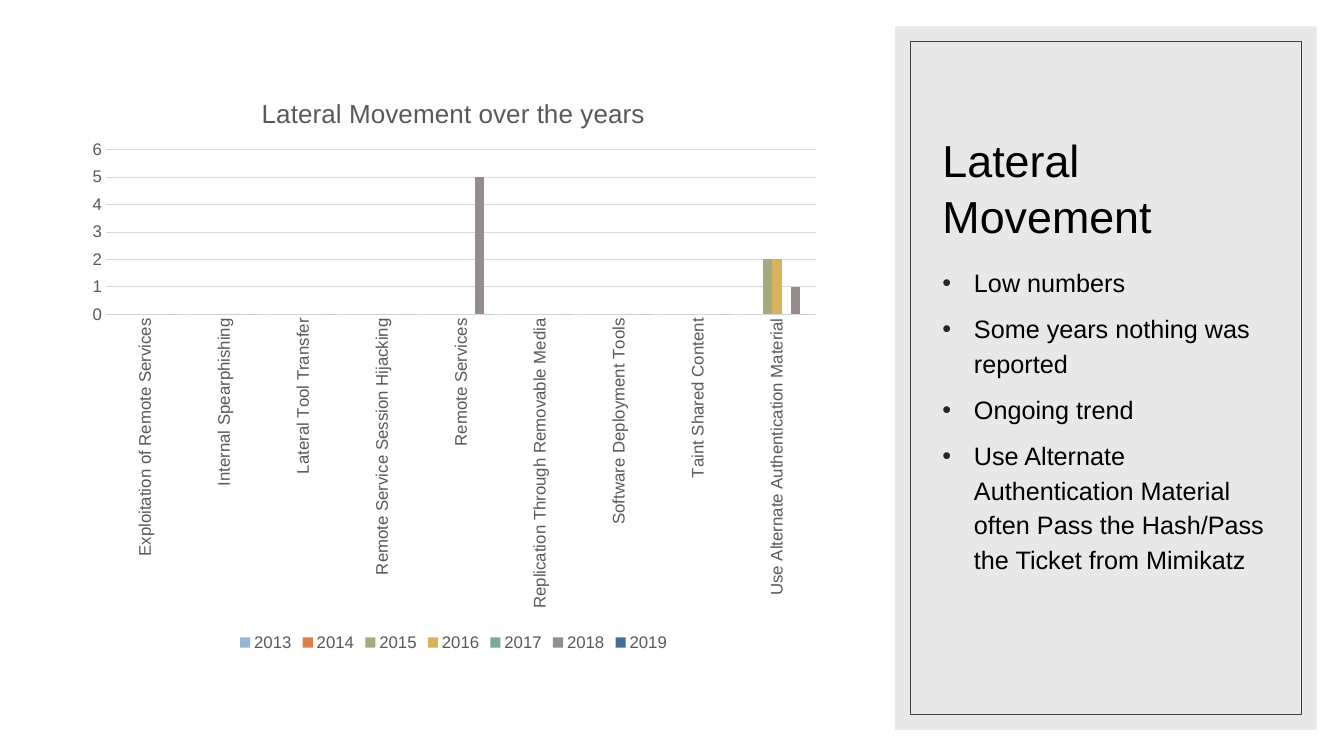
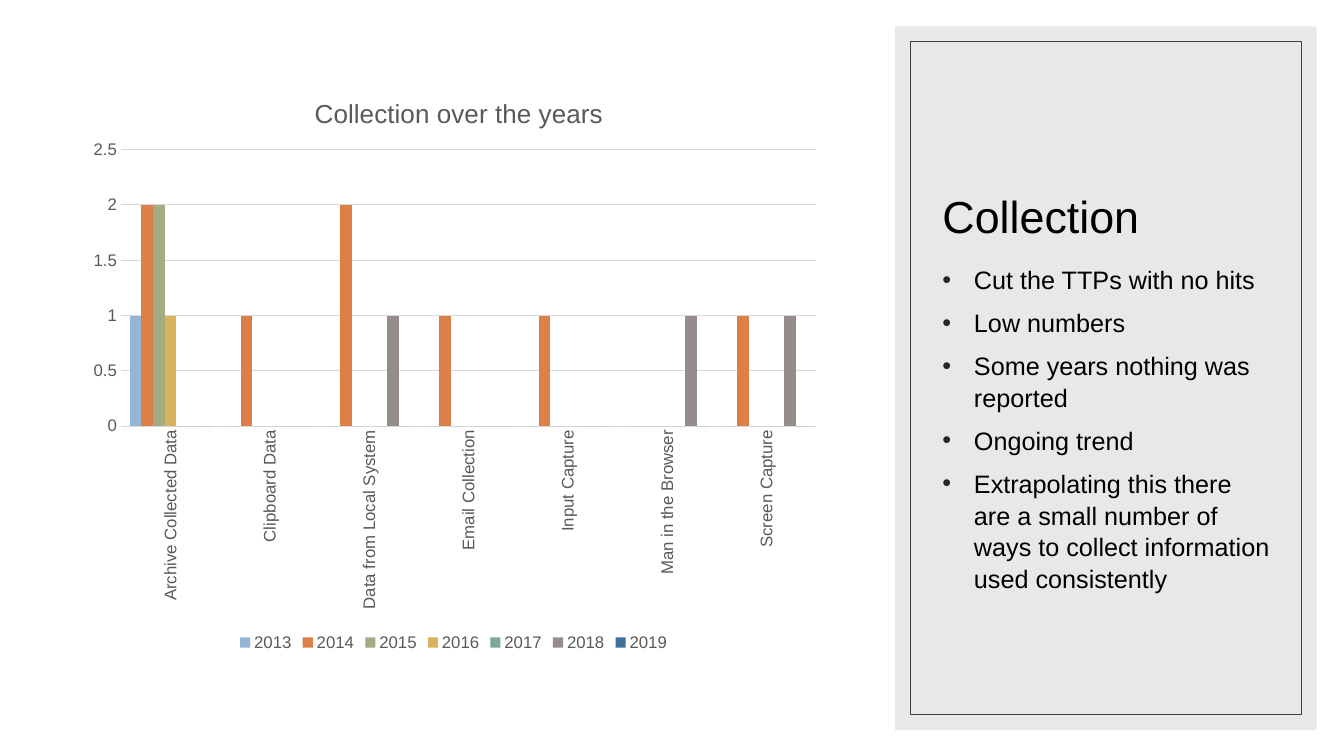
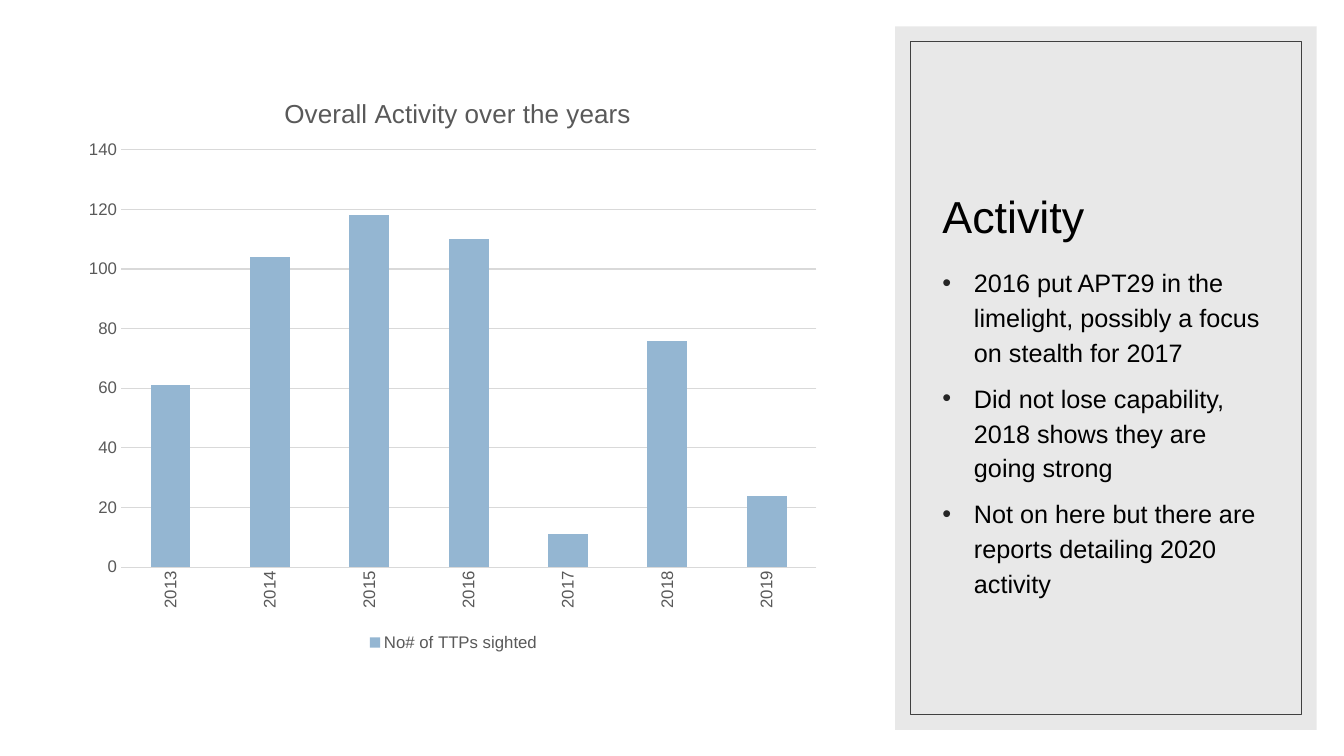
from lxml import etree
from pptx import Presentation
from pptx.chart.data import CategoryChartData
from pptx.dml.color import RGBColor
from pptx.enum.chart import XL_CHART_TYPE as ChartType
from pptx.enum.chart import XL_LEGEND_POSITION as LegendPosition
from pptx.enum.chart import XL_TICK_MARK as TickMark
from pptx.enum.shapes import MSO_SHAPE as Preset
from pptx.enum.text import MSO_ANCHOR as Anchor
from pptx.enum.text import MSO_AUTO_SIZE as AutoSize
from pptx.enum.text import PP_ALIGN as Align
from pptx.oxml.ns import qn
from pptx.util import Pt

# Shared look
FONT = "Arial"
BLACK, GREY, GRID, BULLET = "000000", "595959", "D9D9D9", "262626"
PANEL_FILL, FRAME_LINE = "D9D9D9", "404040"
SERIES_COLOURS = ["94B6D2", "DD8047", "A5AB81", "D8B25C", "7BA79D", "968C8C", "407097"]
YEARS = [str(year) for year in range(2013, 2020)]

# Boxes as left, top, width, height in points
PANEL = (639.4, 18.8, 301, 502.6)
CHART = (54, 48.2, 540, 420)
FRAME_INSET, TEXT_INSET = 10.8, 26.6
HEADING_TOP, HEADING_HEIGHT = 28.7, 129.6
POINTS_TOP, POINTS_HEIGHT = 165.5, 283.7

# Slide content; plot is the inner plot area as fractions of the chart
SLIDES = [
    {
        "heading": "Lateral Movement",
        "points": [
            "Low numbers",
            "Some years nothing was reported",
            "Ongoing trend",
            "Use Alternate Authentication Material often Pass the Hash/Pass "
            "the Ticket from Mimikatz",
        ],
        "spacing": 1.15,
        "chart_title": "Lateral Movement over the years",
        "title_left": 0.24,
        "plot": (0.04, 0.14, 0.94, 0.28),
        "categories": [
            "Exploitation of Remote Services", "Internal Spearphishing",
            "Lateral Tool Transfer", "Remote Service Session Hijacking",
            "Remote Services", "Replication Through Removable Media",
            "Software Deployment Tools", "Taint Shared Content",
            "Use Alternate Authentication Material",
        ],
        "series": {
            **{year: [0] * 9 for year in YEARS},
            "2015": [0] * 8 + [2],
            "2016": [0] * 8 + [2],
            "2018": [0, 0, 0, 0, 5, 0, 0, 0, 1],
        },
    },
    {
        "heading": "Collection",
        "points": [
            "Cut the TTPs with no hits",
            "Low numbers",
            "Some years nothing was reported",
            "Ongoing trend",
            "Extrapolating this there are a small number of ways to collect "
            "information used consistently",
        ],
        "spacing": 1.05,
        "chart_title": "Collection over the years",
        "title_left": 0.31,
        "plot": (0.06, 0.14, 0.92, 0.47),
        "categories": [
            "Archive Collected Data", "Clipboard Data", "Data from Local System",
            "Email Collection", "Input Capture", "Man in the Browser", "Screen Capture",
        ],
        "series": {
            **{year: [0] * 7 for year in YEARS},
            "2013": [1] + [0] * 6,
            "2014": [2, 1, 2, 1, 1, 0, 1],
            "2015": [2] + [0] * 6,
            "2016": [1] + [0] * 6,
            "2018": [0, 0, 1, 0, 0, 1, 1],
        },
    },
    {
        "heading": "Activity",
        "points": [
            "2016 put APT29 in the limelight, possibly a focus on stealth for 2017",
            "Did not lose capability, 2018 shows they are going strong",
            "Not on here but there are reports detailing 2020 activity",
        ],
        "spacing": 1.15,
        "chart_title": "Overall Activity over the years",
        "title_left": 0.27,
        "plot": (0.06, 0.14, 0.92, 0.71),
        "categories": YEARS,
        "series": {"No# of TTPs sighted": [61, 104, 118, 110, 11, 76, 24]},
    },
]


def rgb(value):
    return RGBColor.from_string(value)


def style_font(font, size, colour):
    for key, value in {"name": FONT, "size": Pt(size), "bold": False}.items():
        setattr(font, key, value)
    font.color.rgb = rgb(colour)


def place(shape, box):
    for side, value in zip(("left", "top", "width", "height"), box):
        setattr(shape, side, Pt(value))


def add_rectangle(slide, box):
    rectangle = slide.shapes.add_shape(Preset.RECTANGLE, *map(Pt, box))
    rectangle.shadow.inherit = False
    return rectangle


def set_up_layout(layout, slide, box):
    """Moves the panel into the layout and places its title and body there."""
    left, top, width, height = box
    for placeholder in list(layout.placeholders):
        if placeholder.placeholder_format.idx > 1:
            placeholder.element.getparent().remove(placeholder.element)

    # Translucent panel
    panel = add_rectangle(slide, box)
    panel.fill.solid()
    panel.fill.fore_color.rgb = rgb(PANEL_FILL)
    panel.line.fill.background()
    panel_colour = panel.element.spPr.find(qn("a:solidFill"))[0]
    etree.SubElement(panel_colour, qn("a:alpha"), val="60000")

    # Thin frame inside it
    frame = add_rectangle(slide, (left + FRAME_INSET, top + FRAME_INSET,
                                  width - 2 * FRAME_INSET, height - 2 * FRAME_INSET))
    frame.fill.background()
    frame.line.color.rgb = rgb(FRAME_LINE)
    frame.line.width = Pt(0.5)
    for index, part in enumerate((panel, frame), start=2):
        layout.shapes.element.insert(index, part.element)

    # Title and body places
    heading, points = layout.placeholders
    text_left, text_width = left + TEXT_INSET, width - 2 * TEXT_INSET + 1.2
    place(heading, (text_left, top + HEADING_TOP, text_width, HEADING_HEIGHT))
    place(points, (text_left, top + POINTS_TOP, text_width, POINTS_HEIGHT))
    for placeholder, anchor in ((heading, Anchor.BOTTOM), (points, Anchor.TOP)):
        placeholder.text_frame.vertical_anchor = anchor
        placeholder.text_frame.auto_size = AutoSize.NONE


def add_bullet(paragraph):
    properties = paragraph._p.get_or_add_pPr()
    properties.set("marL", str(Pt(22.5)))
    properties.set("indent", str(-Pt(22.5)))
    colour = etree.SubElement(properties, qn("a:buClr"))
    etree.SubElement(colour, qn("a:srgbClr"), val=BULLET)
    etree.SubElement(properties, qn("a:buFont"), typeface=FONT)
    etree.SubElement(properties, qn("a:buChar"), char="•")


def fill_panel(slide, content):
    heading, points = slide.placeholders
    heading.text_frame.text = content["heading"]
    heading_line = heading.text_frame.paragraphs[0]
    heading_line.alignment = Align.LEFT
    heading_line.line_spacing = 1.05
    style_font(heading_line.runs[0].font, 32, BLACK)

    points.text_frame.text = "\n".join(content["points"])
    for index, point in enumerate(points.text_frame.paragraphs):
        add_bullet(point)
        point.line_spacing = content["spacing"]
        point.space_before = Pt(8 if index else 0)
        style_font(point.runs[0].font, 18, BLACK)


def set_layout(parent, position, fractions, inner=False):
    """Gives a chart part a fixed place, as fractions of the chart."""
    for old in parent.findall(qn("c:layout")):
        parent.remove(old)
    layout = etree.Element(qn("c:layout"))
    manual = etree.SubElement(layout, qn("c:manualLayout"))
    if inner:
        etree.SubElement(manual, qn("c:layoutTarget"), val="inner")
    for axis in "xy":
        etree.SubElement(manual, qn(f"c:{axis}Mode"), val="edge")
    for key, value in zip("xywh", fractions):
        etree.SubElement(manual, qn(f"c:{key}"), val=str(value))
    parent.insert(position, layout)


def add_column_chart(slide, box, content):
    data = CategoryChartData()
    data.categories = content["categories"]
    for name, values in content["series"].items():
        data.add_series(name, values)
    chart = slide.shapes.add_chart(
        ChartType.COLUMN_CLUSTERED, *map(Pt, box), data).chart
    style_font(chart.font, 10, BLACK)

    # Title
    chart.has_title = True
    title = chart.chart_title
    title.include_in_layout = False
    title.text_frame.text = content["chart_title"]
    style_font(title.text_frame.paragraphs[0].runs[0].font, 18.6, GREY)
    set_layout(title._element, 1, (content["title_left"], 0.04))

    # Columns
    plot = chart.plots[0]
    plot.gap_width = 150
    plot.overlap = 0
    plot.vary_by_categories = False
    for series, colour in zip(plot.series, SERIES_COLOURS):
        series.format.fill.solid()
        series.format.fill.fore_color.rgb = rgb(colour)
    set_layout(chart.element.chart.plotArea, 0, content["plot"], inner=True)

    # Axes
    for axis in (chart.category_axis, chart.value_axis):
        axis.major_tick_mark = axis.minor_tick_mark = TickMark.NONE
        axis.format.line.fill.background()
        style_font(axis.tick_labels.font, 12, GREY)
    label_body = chart.category_axis.tick_labels.font._element.getparent().getparent()
    body = chart.category_axis._element.find(qn("c:txPr")).find(qn("a:bodyPr"))
    body.set("rot", "-5400000")
    body.set("vert", "horz")
    gridlines = chart.value_axis.major_gridlines.format.line
    gridlines.color.rgb = rgb(GRID)
    gridlines.width = Pt(0.75)

    # Legend
    chart.has_legend = True
    chart.legend.position = LegendPosition.BOTTOM
    chart.legend.include_in_layout = False
    style_font(chart.legend.font, 12, GREY)


def main():
    deck = Presentation()
    deck.slide_width, deck.slide_height = Pt(960), Pt(540)
    layout = deck.slide_layouts[1]
    for index, content in enumerate(SLIDES):
        slide = deck.slides.add_slide(layout)
        if index == 0:
            set_up_layout(layout, slide, PANEL)
        fill_panel(slide, content)
        add_column_chart(slide, CHART, content)
    deck.save("out.pptx")


if __name__ == "__main__":
    main()
